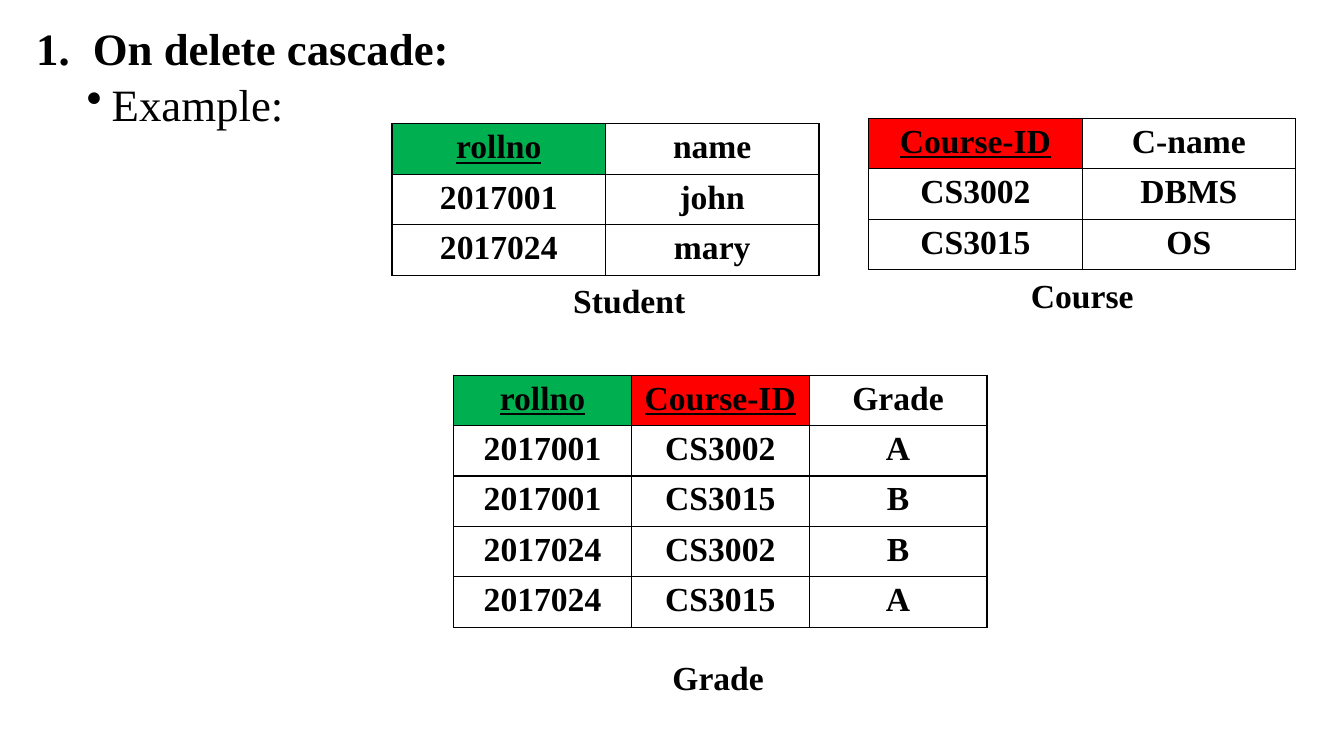
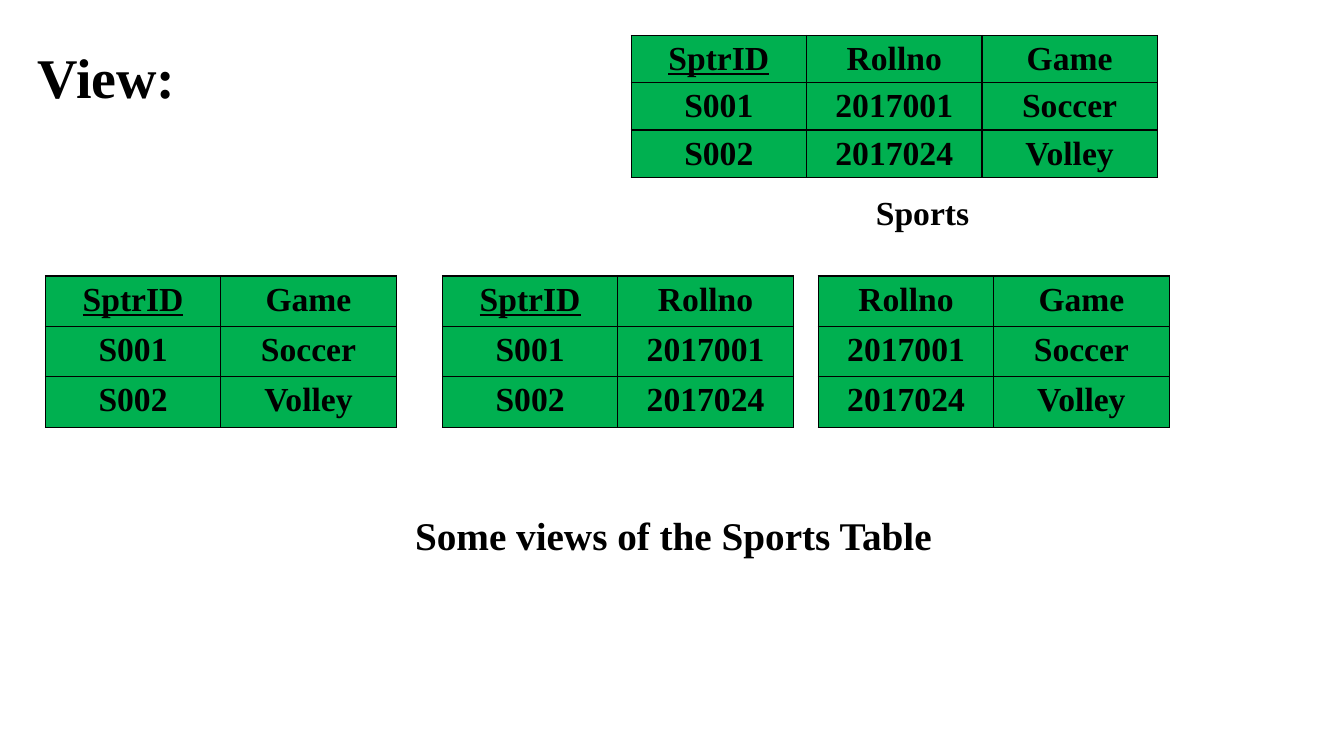
from dataclasses import dataclass
from typing import Optional

from lxml import etree
from pptx import Presentation
from pptx import util as u
from pptx.dml.color import RGBColor
from pptx.enum import text
from pptx.oxml import ns

Pt = u.Pt

# Shared style
FONT = "Times New Roman"
BLACK = RGBColor(0x00, 0x00, 0x00)
GREEN = RGBColor(0x00, 0xB0, 0x50)
RED = RGBColor(0xFF, 0x00, 0x00)
BODY_SIZE = 24
CAPTION_W = 185
ROW_H = 36
KEY_FILLS = {"rollno": GREEN, "Course-ID": RED, "SptrID": GREEN}


@dataclass
class Relation:
    left: float
    top: float
    col_w: float
    rows: list[tuple[str, ...]]
    row_h: float = ROW_H
    fill: Optional[RGBColor] = None


@dataclass
class Caption:
    label: str
    left: float
    top: float
    width: float = CAPTION_W
    size: float = BODY_SIZE


@dataclass
class Line:
    words: str
    size: float
    bold: bool = True
    bullet: str = ""
    attrs: tuple[tuple[str, str], ...] = ()
    margin: float = 0
    indent: float = 0
    level: int = 0
    before: float = 0


# Data
STUDENT = [("rollno", "name"), ("2017001", "john"), ("2017024", "mary")]
COURSE = [("Course-ID", "C-name"), ("CS3002", "DBMS"), ("CS3015", "OS")]
GRADE = [
    ("rollno", "Course-ID", "Grade"),
    ("2017001", "CS3002", "A"),
    ("2017001", "CS3015", "B"),
    ("2017024", "CS3002", "B"),
    ("2017024", "CS3015", "A"),
]
SPORTS = [
    ("SptrID", "Rollno", "Game"),
    ("S001", "2017001", "Soccer"),
    ("S002", "2017024", "Volley"),
]


def project(rows: list[tuple[str, ...]], *cols: int) -> list[tuple[str, ...]]:
    return [tuple(row[c] for c in cols) for row in rows]


def style(p, size: float, bold: bool = True, underline: bool = False) -> None:
    for r in p.runs:
        r.font.name = FONT
        r.font.size = Pt(size)
        r.font.bold = bold
        r.font.underline = underline
        r.font.color.rgb = BLACK


def add_borders(cell) -> None:
    tc_pr = cell._tc.get_or_add_tcPr()
    for i, side in enumerate(("lnL", "lnR", "lnT", "lnB")):
        ln = etree.Element(ns.qn(f"a:{side}"), w=str(Pt(1)))
        solid = etree.SubElement(ln, ns.qn("a:solidFill"))
        etree.SubElement(solid, ns.qn("a:srgbClr"), val=str(BLACK))
        tc_pr.insert(i, ln)


def add_relation(s, rel: Relation) -> None:
    n_rows, n_cols = len(rel.rows), len(rel.rows[0])
    frame = s.shapes.add_table(n_rows, n_cols, Pt(rel.left), Pt(rel.top),
                               Pt(rel.col_w * n_cols), Pt(rel.row_h * n_rows))
    table = frame.table
    table.first_row = table.horz_banding = False
    for col in table.columns:
        col.width = Pt(rel.col_w)
    for row, values in zip(table.rows, rel.rows):
        row.height = Pt(rel.row_h)
        for cell, value in zip(row.cells, values):
            cell.margin_bottom = 0
            fill = rel.fill or KEY_FILLS.get(value)
            if fill:
                cell.fill.solid()
                cell.fill.fore_color.rgb = fill
            else:
                cell.fill.background()
            add_borders(cell)
            p = cell.text_frame.paragraphs[0]
            p.text = value
            p.alignment = text.PP_ALIGN.CENTER
            style(p, BODY_SIZE, underline=value in KEY_FILLS)


def add_caption(s, cap: Caption) -> None:
    sp = s.shapes.add_textbox(Pt(cap.left), Pt(cap.top), Pt(cap.width),
                              Pt(cap.size * 1.2 + 7.2))
    tf = sp.text_frame
    tf.word_wrap = True
    tf.auto_size = text.MSO_AUTO_SIZE.SHAPE_TO_FIT_TEXT
    tf.text = cap.label
    p = tf.paragraphs[0]
    p.alignment = text.PP_ALIGN.CENTER
    style(p, cap.size)


def add_body(s, left: float, top: float, width: float, height: float,
             lines: list[Line]) -> None:
    sp = s.shapes.add_textbox(Pt(left), Pt(top), Pt(width), Pt(height))
    tf = sp.text_frame
    tf.word_wrap = True
    for i, line in enumerate(lines):
        p = tf.add_paragraph() if i else tf.paragraphs[0]
        p.text = line.words
        p.level = line.level
        p.line_spacing = 0.9
        p.space_before = Pt(line.before)
        if line.bullet:
            p_pr = p._p.get_or_add_pPr()
            p_pr.set("marL", str(Pt(line.margin)))
            p_pr.set("indent", str(Pt(line.indent)))
            etree.SubElement(p_pr, ns.qn(f"a:{line.bullet}"), dict(line.attrs))
        style(p, line.size, line.bold)


def build_cascade(s) -> None:
    # Heading and bullet
    add_body(s, 18.7, 15.8, 879, 55.4, [
        Line("On delete cascade:", 32, bullet="buAutoNum",
             attrs=(("type", "arabicPeriod"),), margin=40.5, indent=-40.5),
        Line("Example:", 32, bold=False, bullet="buChar",
             attrs=(("char", "•"),), margin=54, indent=-18, level=1, before=5),
    ])
    # Grade is split into two stacked tables
    grade_top, split = 268, 3
    for rel in (
        Relation(280, 88.5, 152.5, STUDENT),
        Relation(620.5, 84.5, 152.5, COURSE),
        Relation(324, grade_top, 127, GRADE[:split]),
        Relation(324, grade_top + split * ROW_H, 127, GRADE[split:]),
    ):
        add_relation(s, rel)
    for cap in (
        Caption("Student", 357, 196.5),
        Caption("Course", 680.5, 192.5),
        Caption("Grade", 420.5, 466),
    ):
        add_caption(s, cap)


def build_views(s) -> None:
    add_body(s, 20, 32.4, 914.5, 457, [Line("View:", 40)])
    # Base table
    col_w = 125.3
    add_relation(s, Relation(450.8, 25.3, col_w, SPORTS, 33.8, GREEN))
    add_caption(s, Caption("Sports", 566.5, 133.3))
    # Views: each keeps two columns of the base table
    for left, cols in ((32.4, (0, 2)), (316, (0, 1)), (584.5, (1, 2))):
        add_relation(s, Relation(left, 197.2, col_w, project(SPORTS, *cols),
                                 fill=GREEN))
    add_caption(s, Caption("Some views of the Sports Table", 283, 361.5, 396, 28))


def main() -> None:
    prs = Presentation()
    prs.slide_width, prs.slide_height = Pt(960), Pt(540)
    for build in (build_cascade, build_views):
        build(prs.slides.add_slide(prs.slide_layouts[6]))
    prs.save("out.pptx")


if __name__ == "__main__":
    main()
